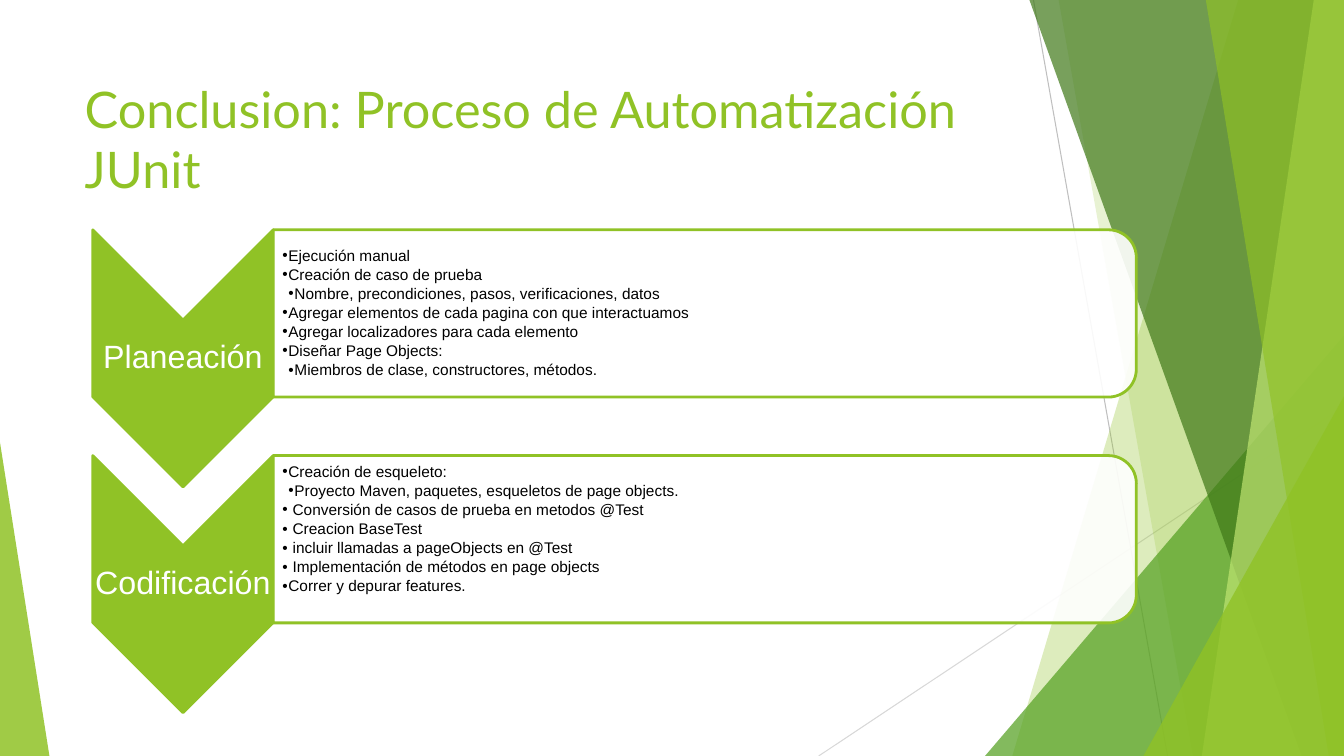
from dataclasses import dataclass

from lxml.etree import SubElement
from pptx import Presentation
from pptx.dml.color import RGBColor
from pptx.enum.shapes import MSO_CONNECTOR, MSO_SHAPE
from pptx.enum.text import MSO_ANCHOR, MSO_AUTO_SIZE, PP_ALIGN
from pptx.oxml.ns import qn
from pptx.shapes.autoshape import Shape
from pptx.slide import Slide
from pptx.text.text import TextFrame, _Paragraph
from pptx.util import Emu, Pt

PX = 9144
WIDTH, HEIGHT = 1333, 750


def px(length: int) -> Emu:
    return Emu(length * PX)


@dataclass(frozen=True)
class Theme:
    lime: str = "90C226"
    leaf: str = "54A021"
    forest: str = "3F7818"
    pale: str = "BFE471"
    white: str = "FFFFFF"
    black: str = "000000"
    dark_ray: str = "BFBFBF"
    light_ray: str = "D8D8D8"
    title_font: str = "Lato"
    body_font: str = "Arial"
    title_size: float = 36
    label_size: float = 23
    step_size: float = 11
    step_gap: float = 1.75
    outline: float = 2
    ray: float = 0.75


THEME = Theme()


@dataclass(frozen=True)
class Ray:
    start: tuple[int, int]
    end: tuple[int, int]
    color: str


@dataclass(frozen=True)
class Shard:
    top_left: int
    bottom_left: int
    color: str
    opacity: int


@dataclass(frozen=True)
class Corner:
    left: int
    top: int
    width: int
    apex: float
    color: str
    opacity: int


@dataclass(frozen=True)
class Step:
    text: str
    level: int = 1


@dataclass(frozen=True)
class Stage:
    label: str
    steps: tuple[Step, ...]
    bottom_inset: int = 1


RAYS = (
    Ray((1025, 0), (1158, HEIGHT), THEME.dark_ray),
    Ray((WIDTH, 403), (812, HEIGHT), THEME.light_ray),
)
FACETS = (
    Shard(1228, 1004, THEME.lime, 30),
    Shard(1050, 1183, THEME.lime, 20),
    Corner(977, 333, 356, 1, THEME.leaf, 72),
    Shard(1021, 1291, THEME.forest, 70),
    Shard(1303, 1192, THEME.pale, 70),
    Shard(1196, 1318, THEME.lime, 65),
    Corner(1134, 393, 199, 1, THEME.lime, 80),
    Corner(0, 439, 49, 0, THEME.lime, 85),
)
STAGES = (
    Stage("Planeación", (
        Step("Ejecución manual"),
        Step("Creación de caso de prueba"),
        Step("Nombre, precondiciones, pasos, verificaciones, datos", 2),
        Step("Agregar elementos de cada pagina con que interactuamos"),
        Step("Agregar localizadores para cada elemento"),
        Step("Diseñar Page Objects:"),
        Step("Miembros de clase, constructores, métodos.", 2),
    )),
    Stage("Codificación", (
        Step("Creación de esqueleto:"),
        Step("Proyecto Maven, paquetes, esqueletos de page objects.", 2),
        Step(" Conversión de casos de prueba en metodos @Test"),
        Step(" Creacion BaseTest"),
        Step(" incluir llamadas a pageObjects en @Test"),
        Step(" Implementación de métodos en page objects"),
        Step("Correr y depurar features."),
    ), bottom_inset=20),
)
STAGE_PITCH = 224


def paint(shape: Shape, color: str, opacity: int = 100, outlined: bool = False) -> None:
    shape.shadow.inherit = False
    shape.fill.solid()
    shape.fill.fore_color.rgb = RGBColor.from_string(color)
    if opacity < 100:
        tint = shape.fill._xPr.find(qn("a:solidFill"))[0]
        SubElement(tint, qn("a:alpha"), val=str(opacity * 1000))
    if outlined:
        shape.line.color.rgb = RGBColor.from_string(THEME.lime)
        shape.line.width = Pt(THEME.outline)
    else:
        shape.line.fill.background()


def style(paragraph: _Paragraph, font_name: str, size: float, color: str) -> None:
    for run in paragraph.runs:
        run.font.name = font_name
        run.font.size = Pt(size)
        run.font.color.rgb = RGBColor.from_string(color)


def set_insets(frame: TextFrame, left: int, top: int, right: int, bottom: int) -> None:
    frame.margin_left, frame.margin_top = px(left), px(top)
    frame.margin_right, frame.margin_bottom = px(right), px(bottom)


def draw_ray(slide: Slide, ray: Ray) -> None:
    line = slide.shapes.add_connector(
        MSO_CONNECTOR.STRAIGHT, *map(px, ray.start), *map(px, ray.end))
    line.line.color.rgb = RGBColor.from_string(ray.color)
    line.line.width = Pt(THEME.ray)
    SubElement(line._element.spPr, qn("a:effectLst"))


def draw_facet(slide: Slide, facet: Shard | Corner) -> None:
    if isinstance(facet, Shard):
        outline = slide.shapes.build_freeform(facet.top_left, 0, scale=PX)
        outline.add_line_segments(
            [(WIDTH, 0), (WIDTH, HEIGHT), (facet.bottom_left, HEIGHT)], close=True)
        shape = outline.convert_to_shape()
    else:
        shape = slide.shapes.add_shape(
            MSO_SHAPE.ISOSCELES_TRIANGLE, px(facet.left), px(facet.top),
            px(facet.width), px(HEIGHT - facet.top))
        shape.adjustments[0] = facet.apex
    paint(shape, facet.color, facet.opacity)


def draw_title(slide: Slide, wording: str) -> None:
    title = slide.shapes.title
    title.left, title.top, title.width, title.height = map(px, (74, 67, 940, 144))
    frame = title.text_frame
    frame.text = wording
    frame.word_wrap = True
    frame.auto_size = MSO_AUTO_SIZE.NONE
    frame.vertical_anchor = MSO_ANCHOR.TOP
    set_insets(frame, 10, 10, 10, 10)
    frame.paragraphs[0].alignment = PP_ALIGN.LEFT
    style(frame.paragraphs[0], THEME.title_font, THEME.title_size, THEME.lime)


def add_text_area(slide: Slide, left: int, top: int, width: int, height: int) -> TextFrame:
    frame = slide.shapes.add_textbox(px(left), px(top), px(width), px(height)).text_frame
    frame.word_wrap = True
    frame.vertical_anchor = MSO_ANCHOR.MIDDLE
    return frame


def write_step(paragraph: _Paragraph, step: Step) -> None:
    paragraph.text = step.text
    paragraph.level = step.level
    paragraph.line_spacing = 0.9
    paragraph.space_after = Pt(THEME.step_gap)
    properties = paragraph._p.get_or_add_pPr()
    properties.set("marL", str(px(6 * step.level)))
    properties.set("indent", str(px(-6)))
    SubElement(properties, qn("a:buFont"), typeface=THEME.body_font)
    SubElement(properties, qn("a:buChar"), char="•")
    style(paragraph, THEME.body_font, THEME.step_size, THEME.black)


def draw_stage(slide: Slide, stage: Stage, offset: int) -> None:
    chevron = slide.shapes.add_shape(
        MSO_SHAPE.CHEVRON, px(54), px(266 + offset), px(255), px(179))
    chevron.rotation = 90
    paint(chevron, THEME.lime, outlined=True)

    label = add_text_area(slide, 92, 317 + offset, 179, 77)
    set_insets(label, 2, 2, 2, 2)
    label.text = stage.label
    label.paragraphs[0].alignment = PP_ALIGN.CENTER
    label.paragraphs[0].line_spacing = 0.9
    style(label.paragraphs[0], THEME.body_font, THEME.label_size, THEME.white)

    panel = slide.shapes.add_shape(
        MSO_SHAPE.ROUND_2_SAME_RECTANGLE, px(616), px(offset - 117), px(166), px(856))
    panel.rotation = 90
    paint(panel, THEME.white, 90, outlined=True)

    steps = add_text_area(slide, 271, 236 + offset, 848, 150)
    set_insets(steps, 9, 1, 1, stage.bottom_inset)
    for index, step in enumerate(stage.steps):
        write_step(steps.add_paragraph() if index else steps.paragraphs[0], step)


def main() -> None:
    deck = Presentation()
    deck.slide_width, deck.slide_height = px(WIDTH), px(HEIGHT)
    slide = deck.slides.add_slide(deck.slide_layouts[5])
    for ray in RAYS:
        draw_ray(slide, ray)
    for facet in FACETS:
        draw_facet(slide, facet)
    draw_title(slide, "Conclusion: Proceso de Automatización JUnit")
    for index, stage in enumerate(STAGES):
        draw_stage(slide, stage, index * STAGE_PITCH)
    deck.save("out.pptx")


if __name__ == "__main__":
    main()
